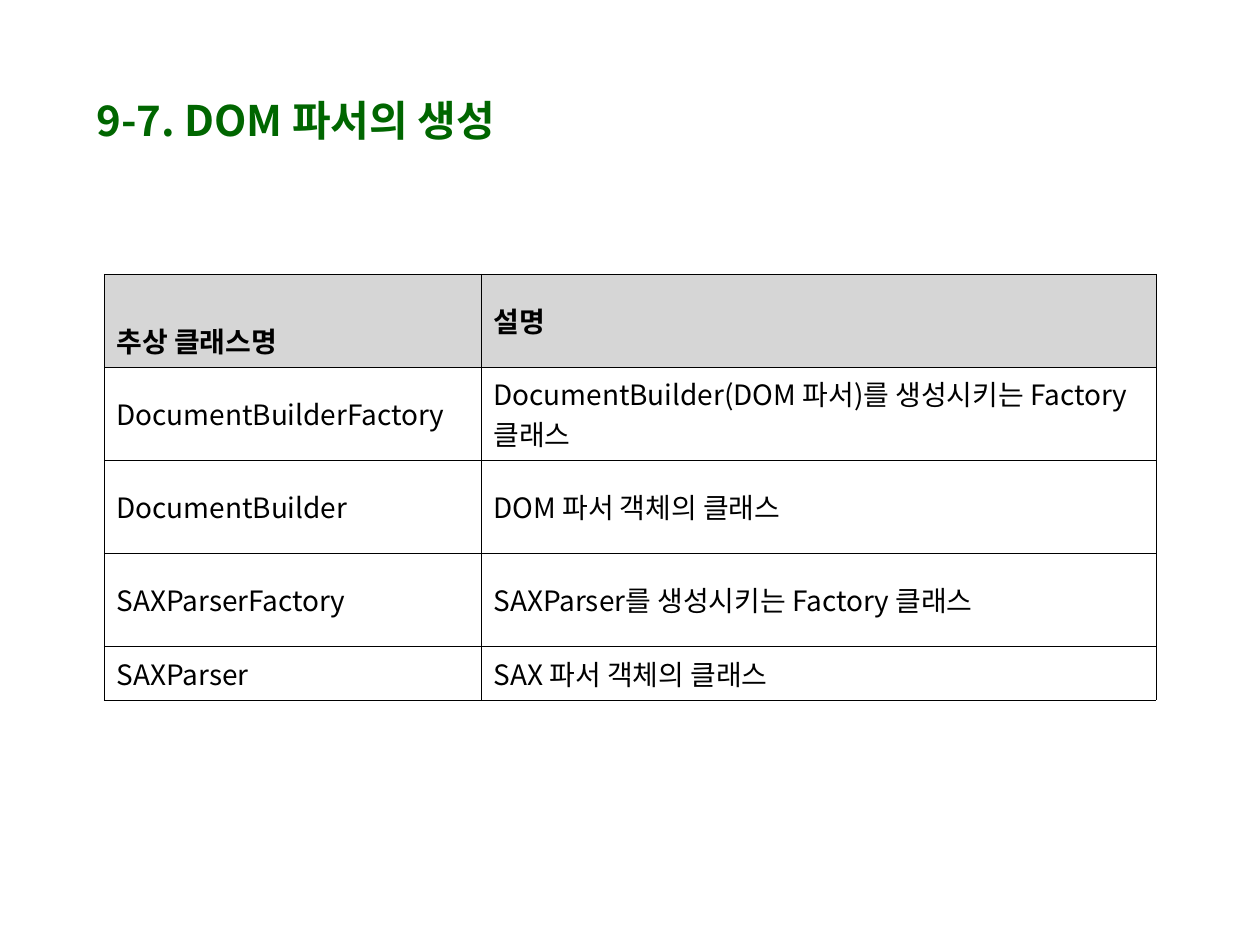
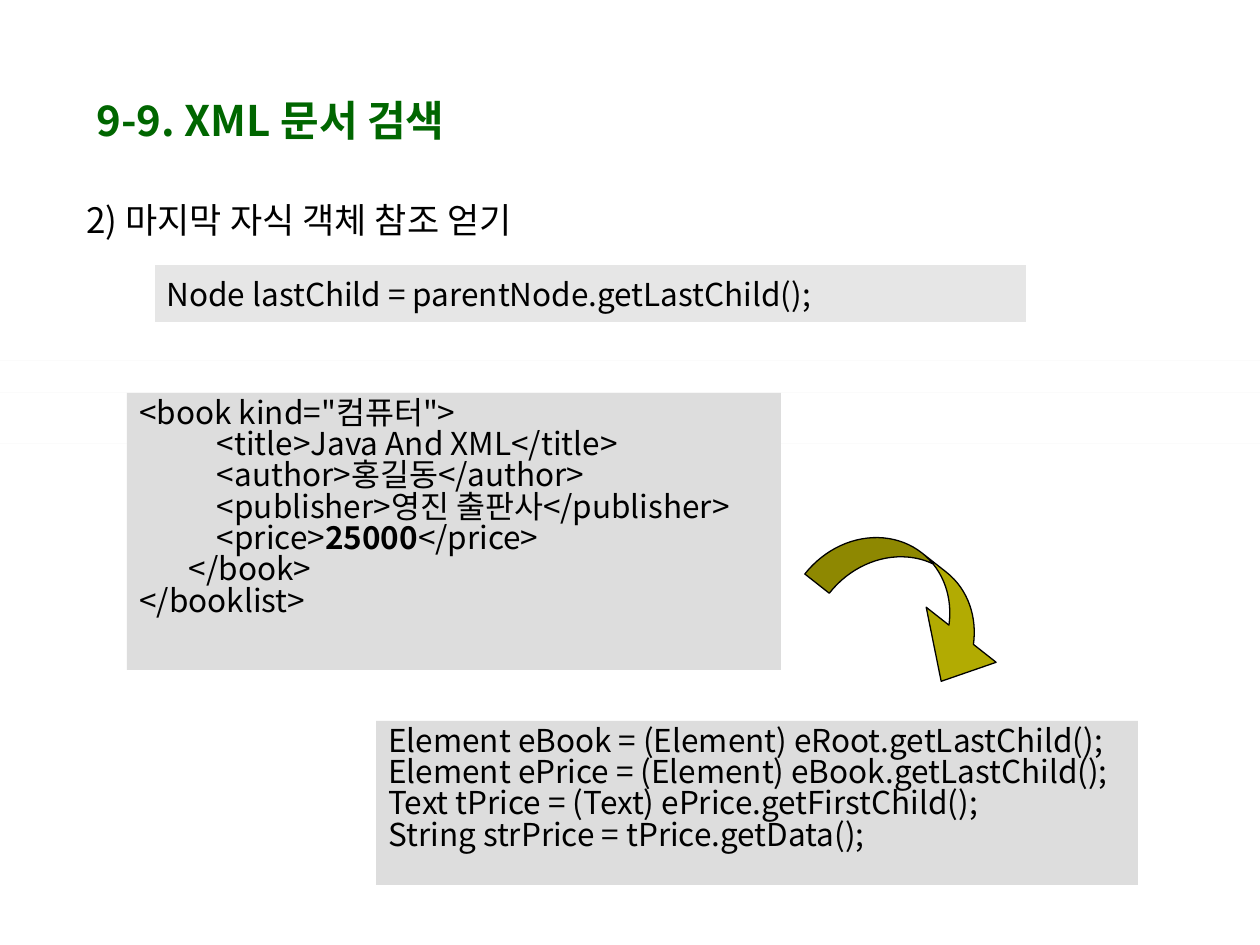
from dataclasses import dataclass

from lxml.etree import SubElement
from pptx import Presentation
from pptx.dml.color import RGBColor
from pptx.enum.shapes import MSO_SHAPE as Shape
from pptx.enum.text import MSO_ANCHOR as Anchor
from pptx.oxml.ns import qn
from pptx.util import Emu, Pt

PAGE_SIZE = (1260, 945)
PX = 914400 // 126


@dataclass(frozen=True)
class Theme:
    font: str = "Noto Sans CJK KR"
    title: str = "006600"
    ink: str = "000000"
    header: str = "D6D6D6"
    code: str = "DDDDDD"
    light: str = "E6E6E6"
    arrow: str = "B2AB02"
    title_size: int = 24
    lead_size: int = 20
    code_size: int = 18
    cell_size: int = 16
    code_spacing: float = 0.83
    border: float = 0.06


THEME = Theme()

PARSER_TITLE = "9-7. DOM 파서의 생성"
PARSER_CLASSES = [
    ("추상 클래스명", "설명"),
    ("DocumentBuilderFactory", "DocumentBuilder(DOM 파서)를 생성시키는 Factory 클래스"),
    ("DocumentBuilder", "DOM 파서 객체의 클래스"),
    ("SAXParserFactory", "SAXParser를 생성시키는 Factory 클래스"),
    ("SAXParser", "SAX 파서 객체의 클래스"),
]

SEARCH_TITLE = "9-9. XML 문서 검색"
SEARCH_LEAD = "2) 마지막 자식 객체 참조 얻기"
LAST_CHILD_CALL = "Node lastChild = parentNode.getLastChild();"
BOOK_XML = [
    '<book kind="컴퓨터">',
    "           <title>Java And XML</title>",
    "           <author>홍길동</author>",
    "           <publisher>영진 출판사</publisher>",
    ("           <price>", "25000", "</price>"),
    "       </book>",
    "</booklist>",
]
PRICE_CODE = [
    "Element eBook = (Element) eRoot.getLastChild();",
    "Element ePrice = (Element) eBook.getLastChild();",
    "Text tPrice = (Text) ePrice.getFirstChild();",
    "String strPrice = tPrice.getData();",
]
RULE_TOPS = [361, 393, 444]


def px(*lengths):
    return [Emu(length * PX) for length in lengths]


def paint(target, color):
    target.fill.solid()
    target.fill.fore_color.rgb = RGBColor.from_string(color)


def write(frame, lines, size, color=THEME.ink, bold=False, spacing=None):
    frame.word_wrap = True
    for index, line in enumerate(lines):
        para = frame.paragraphs[0] if index == 0 else frame.add_paragraph()
        para.line_spacing = spacing
        parts = (line,) if isinstance(line, str) else line
        for position, part in enumerate(parts):
            span = para.add_run()
            span.text = part
            span.font.size = Pt(size)
            span.font.name = THEME.font
            span.font.bold = bold or position == 1
            span.font.color.rgb = RGBColor.from_string(color)
            SubElement(span.font._element, qn("a:ea"), typeface=THEME.font)


def add_text(page, place, lines, size, anchor=Anchor.TOP, fill=None, **style):
    box = page.shapes.add_textbox(*px(*place))
    if fill:
        paint(box, fill)
    box.text_frame.vertical_anchor = anchor
    write(box.text_frame, lines, size, **style)


def add_page(deck, title):
    page = deck.slides.add_slide(deck.slide_layouts[6])
    add_text(page, (84, 76, 873, 87), [title], THEME.title_size,
             anchor=Anchor.MIDDLE, color=THEME.title, bold=True)
    return page


def add_borders(cell):
    properties = cell._tc.get_or_add_tcPr()
    for index, side in enumerate(("lnL", "lnR", "lnT", "lnB")):
        line = properties.makeelement(qn(f"a:{side}"), {"w": str(Pt(THEME.border))})
        solid = SubElement(line, qn("a:solidFill"))
        SubElement(solid, qn("a:srgbClr"), val=THEME.ink)
        properties.insert(index, line)


def add_grid(page, left, top, widths, heights):
    place = px(left, top, sum(widths), sum(heights))
    table = page.shapes.add_table(len(heights), len(widths), *place).table
    table.first_row = table.horz_banding = False
    for column, width in zip(table.columns, px(*widths)):
        column.width = width
    for row, height in zip(table.rows, px(*heights)):
        row.height = height
    return table


def add_parser_page(deck):
    page = add_page(deck, PARSER_TITLE)
    table = add_grid(page, 104, 274, (377, 675), (93, 93, 93, 93, 54))
    for row, texts in enumerate(PARSER_CLASSES):
        for column, text in enumerate(texts):
            cell = table.cell(row, column)
            cell.vertical_anchor = Anchor.MIDDLE
            write(cell.text_frame, [text], THEME.cell_size, bold=row == 0)
            if row == 0:
                paint(cell, THEME.header)
            else:
                cell.fill.background()
            add_borders(cell)
    table.cell(0, 0).margin_top = px(46)[0]


def add_search_page(deck):
    page = add_page(deck, SEARCH_TITLE)
    for top in RULE_TOPS:
        rule = page.shapes.add_shape(Shape.RECTANGLE, *px(0, top, PAGE_SIZE[0], 0))
        rule.shadow.inherit = False
        rule.line.fill.background()
        paint(rule, THEME.light)
    add_text(page, (74, 192, 1134, 69), [SEARCH_LEAD], THEME.lead_size)

    call = add_grid(page, 154, 264, (873,), (59,)).cell(0, 0)
    write(call.text_frame, [LAST_CHILD_CALL], THEME.code_size)
    paint(call, THEME.light)

    for place, lines in (((127, 393, 654, 277), BOOK_XML),
                         ((376, 721, 762, 164), PRICE_CODE)):
        add_text(page, place, lines, THEME.code_size,
                 fill=THEME.code, spacing=THEME.code_spacing)

    arrow = page.shapes.add_shape(Shape.CURVED_DOWN_ARROW, *px(809, 562, 218, 89))
    arrow.shadow.inherit = False
    arrow.rotation = 38.2
    for index, value in enumerate((0.35, 1.0, 0.55)):
        arrow.adjustments[index] = value
    paint(arrow, THEME.arrow)
    arrow.line.color.rgb = RGBColor.from_string(THEME.ink)
    arrow.line.width = Pt(0.75)


def main():
    deck = Presentation()
    deck.slide_width, deck.slide_height = px(*PAGE_SIZE)
    add_parser_page(deck)
    add_search_page(deck)
    deck.save("out.pptx")


if __name__ == "__main__":
    main()
